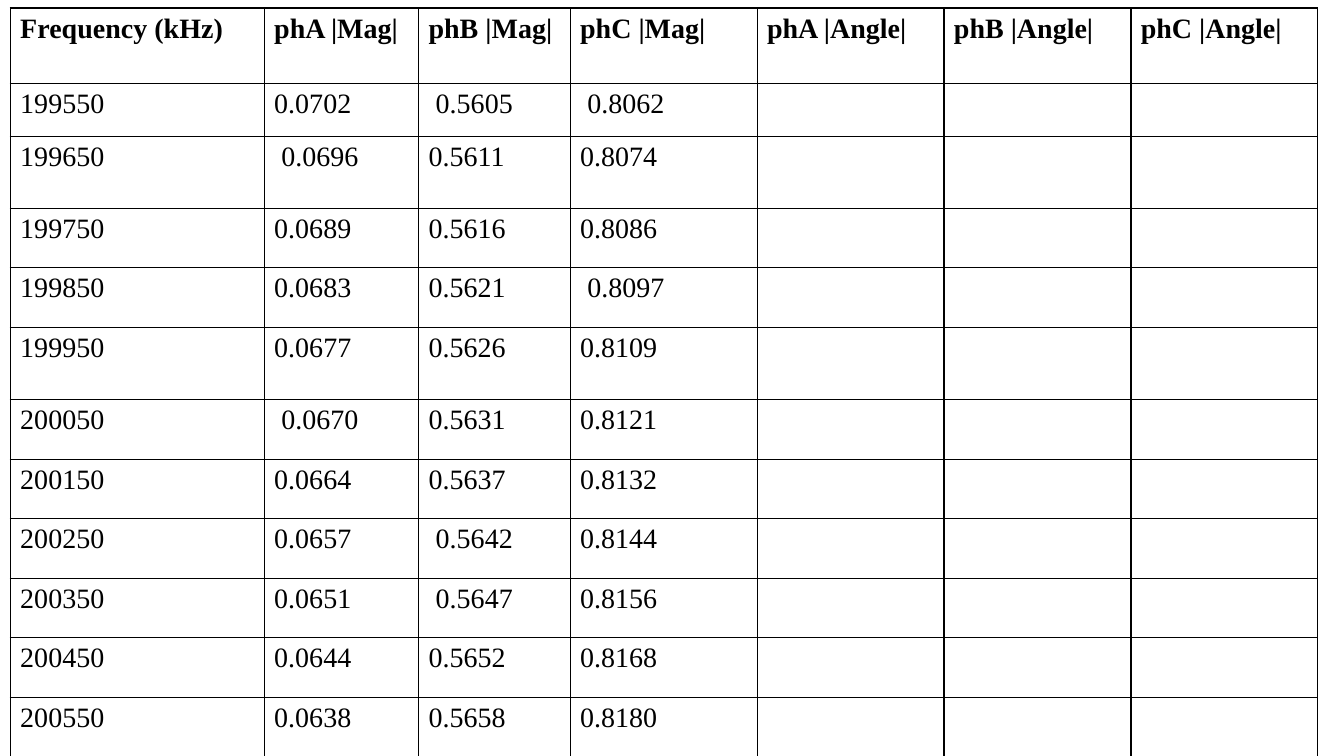
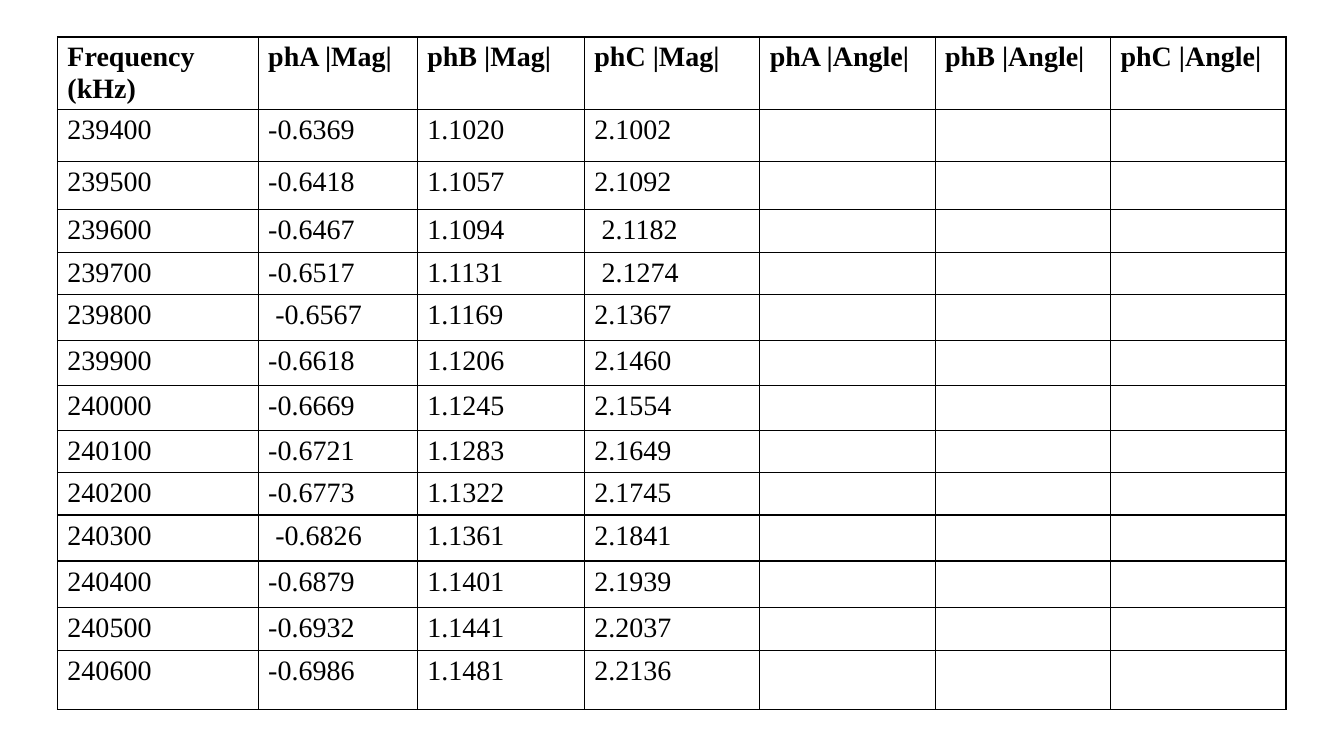
from lxml.etree import SubElement
from pptx import Presentation
from pptx.dml.color import RGBColor
from pptx.oxml.ns import qn
from pptx.util import Cm, Pt

MAG_ANGLE = ["phA |Mag|", "phB |Mag|", "phC |Mag|",
             "phA |Angle|", "phB |Angle|", "phC |Angle|"]
INK = "000000"
LINE_PT = 1
MARGIN = 0.25
INDENT = 0.18
HEADER_FONT = {"name": "Times New Roman", "size": Pt(20), "bold": True}
VALUE_FONT = {**HEADER_FONT, "bold": False}

TABLES = [
    {
        "at": (0.26, 0.2),
        "cols": [6.4, 3.89, 3.82] + [4.71] * 4,
        "header": 1.9,
        "rows": [1.33, 1.82, 1.5, 1.5, 1.82] + [1.5] * 6,
        "first": "Frequency (kHz)",
        "start": 199550,
        "values": [
            ("0.0702", "0.5605", "0.8062"),
            ("0.0696", "0.5611", "0.8074"),
            ("0.0689", "0.5616", "0.8086"),
            ("0.0683", "0.5621", "0.8097"),
            ("0.0677", "0.5626", "0.8109"),
            ("0.0670", "0.5631", "0.8121"),
            ("0.0664", "0.5637", "0.8132"),
            ("0.0657", "0.5642", "0.8144"),
            ("0.0651", "0.5647", "0.8156"),
            ("0.0644", "0.5652", "0.8168"),
            ("0.0638", "0.5658", "0.8180"),
        ],
        "indented": {"0.5605", "0.8062", "0.0696", "0.8097",
                     "0.0670", "0.5642", "0.5647"},
    },
    {
        "at": (1.45, 0.93),
        "cols": [5.06, 4.01, 4.21] + [4.42] * 4,
        "header": 1.82,
        "rows": [1.32, 1.21, 1.08, 1.07, 1.14, 1.15, 1.13,
                 1.05, 1.08, 1.16, 1.16, 1.09, 1.49],
        "first": "Frequency\n(kHz)",
        "start": 239400,
        "values": [
            ("-0.6369", "1.1020", "2.1002"),
            ("-0.6418", "1.1057", "2.1092"),
            ("-0.6467", "1.1094", "2.1182"),
            ("-0.6517", "1.1131", "2.1274"),
            ("-0.6567", "1.1169", "2.1367"),
            ("-0.6618", "1.1206", "2.1460"),
            ("-0.6669", "1.1245", "2.1554"),
            ("-0.6721", "1.1283", "2.1649"),
            ("-0.6773", "1.1322", "2.1745"),
            ("-0.6826", "1.1361", "2.1841"),
            ("-0.6879", "1.1401", "2.1939"),
            ("-0.6932", "1.1441", "2.2037"),
            ("-0.6986", "1.1481", "2.2136"),
        ],
        "indented": {"2.1182", "2.1274", "-0.6567", "-0.6826"},
    },
]
STEP = 100


def rgb(color):
    return RGBColor.from_string(color)


def set_borders(cell):
    tcPr = cell._tc.get_or_add_tcPr()
    for side in ("lnL", "lnR", "lnT", "lnB"):
        ln = SubElement(tcPr, qn(f"a:{side}"), w=str(Pt(LINE_PT)))
        fill = SubElement(ln, qn("a:solidFill"))
        SubElement(fill, qn("a:srgbClr"), val=INK)


def fill_cell(cell, text, font, indented):
    set_borders(cell)
    cell.fill.background()
    cell.margin_left = Cm(MARGIN + (INDENT if indented else 0))
    cell.margin_right = Cm(MARGIN)
    tf = cell.text_frame
    for i, line in enumerate(text.split("\n") if text else []):
        p = tf.add_paragraph() if i else tf.paragraphs[0]
        r = p.add_run()
        r.text = line
        for name, value in font.items():
            setattr(r.font, name, value)
        r.font.color.rgb = rgb(INK)


def add_data_table(s, data):
    cols, heights = data["cols"], [data["header"], *data["rows"]]
    content = [[data["first"], *MAG_ANGLE]]
    for i, values in enumerate(data["values"]):
        row = [str(data["start"] + STEP * i), *values]
        content.append(row + [""] * (len(cols) - len(row)))

    left, top = data["at"]
    table = s.shapes.add_table(len(heights), len(cols), Cm(left), Cm(top),
                               Cm(sum(cols)), Cm(sum(heights))).table
    table.first_row = table.horz_banding = False
    for column, width in zip(table.columns, cols):
        column.width = Cm(width)
    for i, (row, height) in enumerate(zip(table.rows, heights)):
        row.height = Cm(height)
        font = VALUE_FONT if i else HEADER_FONT
        for cell, text in zip(row.cells, content[i]):
            fill_cell(cell, text, font, text in data["indented"])


def main():
    prs = Presentation()
    prs.slide_width, prs.slide_height = Cm(33.87), Cm(19.05)
    for data in TABLES:
        add_data_table(prs.slides.add_slide(prs.slide_layouts[6]), data)
    prs.save("out.pptx")


if __name__ == "__main__":
    main()
